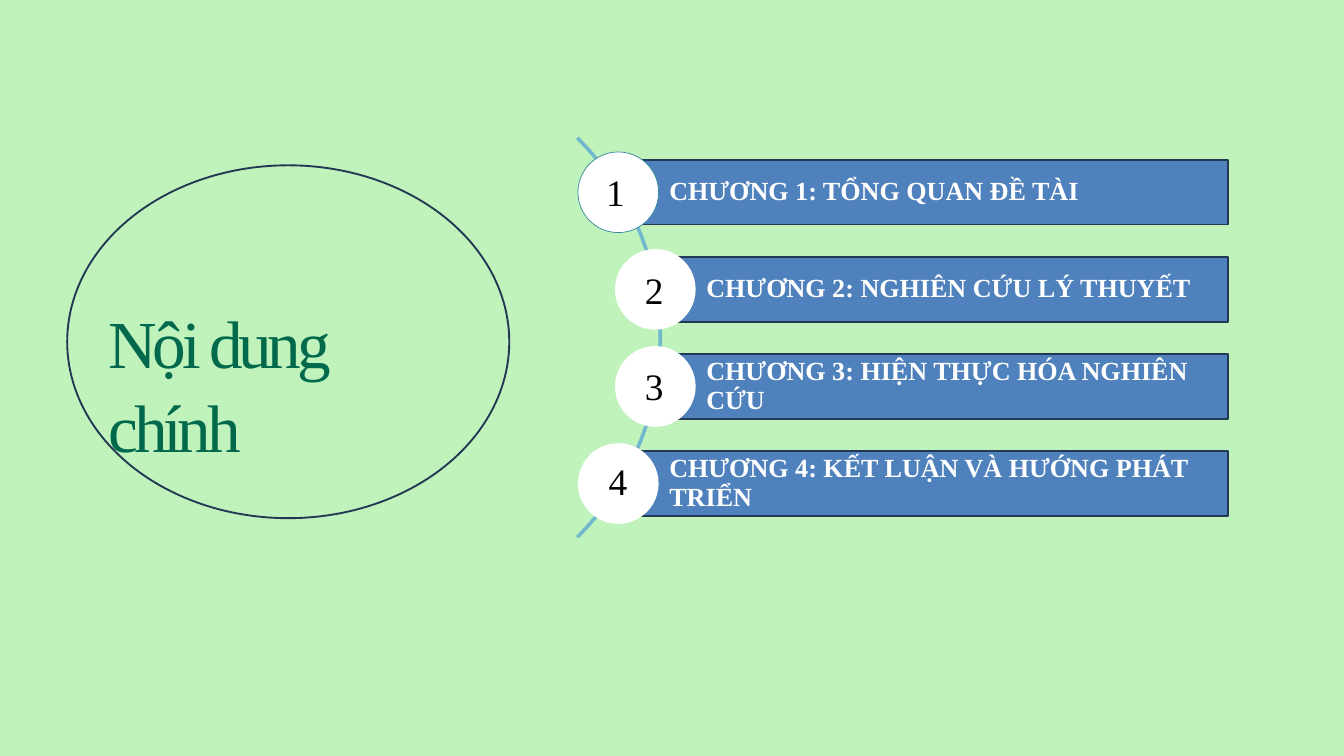
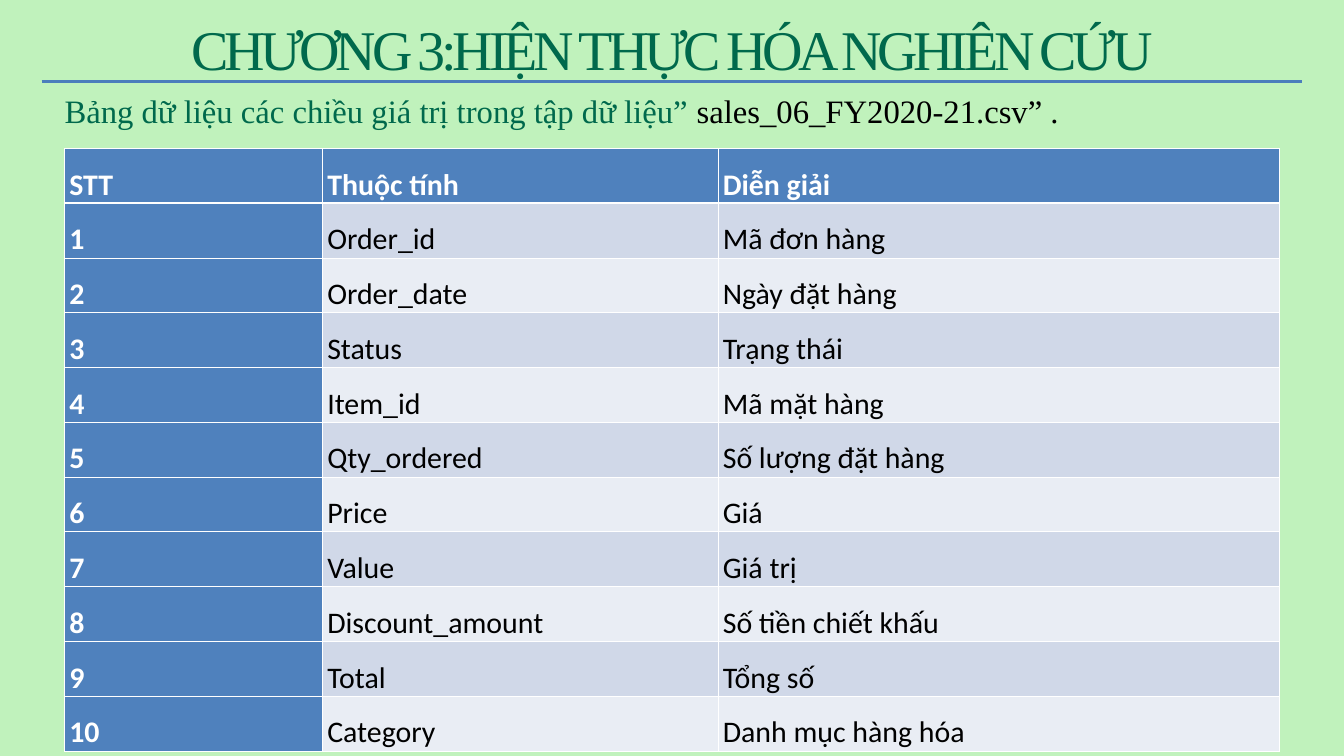
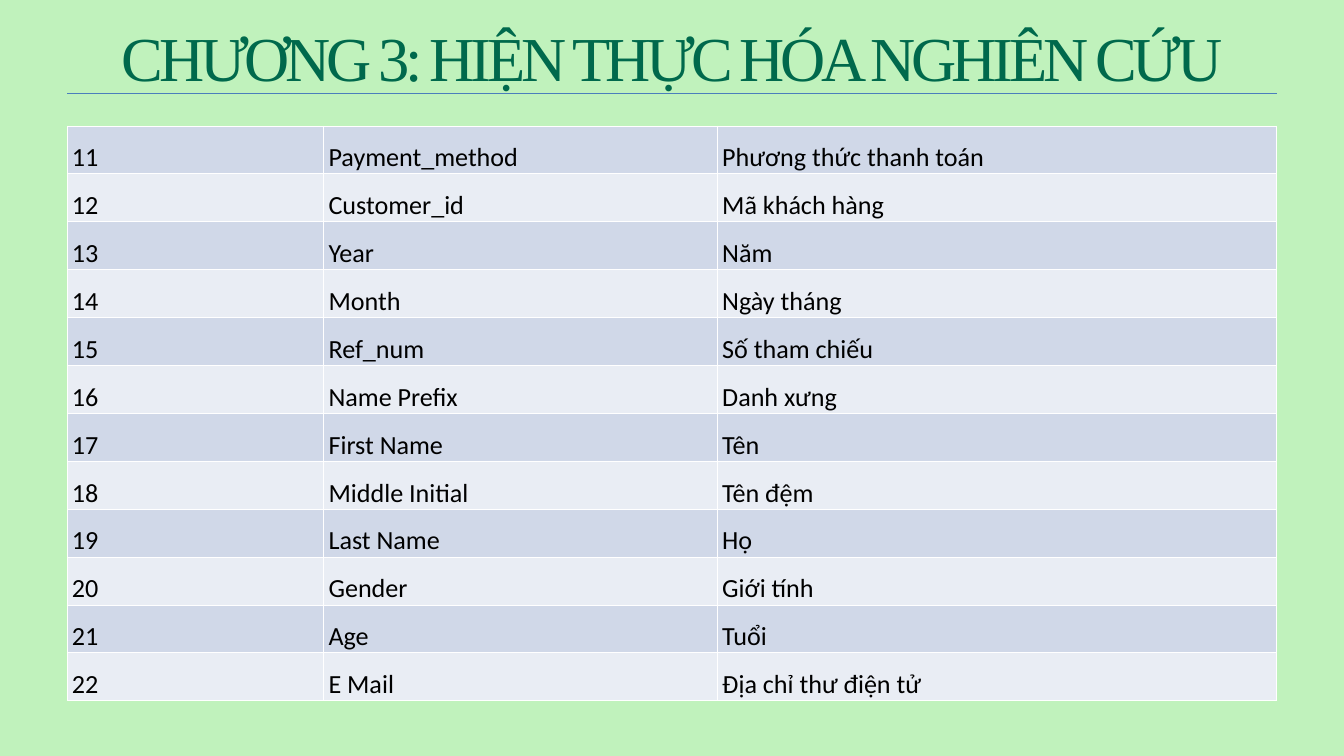
from dataclasses import dataclass
from typing import Any, Optional

from lxml import etree
from pptx import Presentation
from pptx.dml.color import RGBColor
from pptx.enum.shapes import MSO_CONNECTOR, MSO_SHAPE
from pptx.enum.text import MSO_ANCHOR, MSO_AUTO_SIZE, PP_ALIGN
from pptx.oxml.ns import qn
from pptx.util import Cm, Pt

# Enum members
LEFT, CENTER = PP_ALIGN.LEFT, PP_ALIGN.CENTER
TOP, MIDDLE = MSO_ANCHOR.TOP, MSO_ANCHOR.MIDDLE
NO_AUTOFIT = MSO_AUTO_SIZE.NONE
RECT, OVAL, ARC = MSO_SHAPE.RECTANGLE, MSO_SHAPE.OVAL, MSO_SHAPE.BLOCK_ARC
STRAIGHT = MSO_CONNECTOR.STRAIGHT

# Shared look
SERIF, SANS = "Times New Roman", "Calibri"
MINT, GREEN, BLUE, RULE_BLUE = "C0F2BC", "00694C", "4F81BD", "4B7EBC"
NAVY, ARC_BLUE, TEAL = "233953", "71B7CD", "31859C"
BAND_DARK, BAND_LIGHT = "D0D8E8", "E9EDF4"
WHITE, BLACK = "FFFFFF", "000000"
SLIDE_W, SLIDE_H = 50.8, 28.58
TITLE_SPACING = "-460"


@dataclass
class Chapter:
    text: str
    bar_left: float
    number_left: float
    number_top: float
    ring: Optional[str] = None


@dataclass
class TableSpec:
    left: float
    top: float
    col_widths: tuple[float, ...]
    row_height: float
    size: float
    rows: list[tuple[str, ...]]
    header: bool = False


# Contents
CHAPTERS = [
    Chapter("CHƯƠNG 1: TỔNG QUAN ĐỀ TÀI", 23.37, 22.66, 6.25, TEAL),
    Chapter("CHƯƠNG 2: NGHIÊN CỨU LÝ THUYẾT", 24.77, 24.13, 9.98),
    Chapter("CHƯƠNG 3: HIỆN THỰC HÓA NGHIÊN CỨU", 24.77, 24.13, 13.59),
    Chapter("CHƯƠNG 4: KẾT LUẬN VÀ HƯỚNG PHÁT TRIỂN", 23.37, 22.76, 17.2),
]

FIRST_FIELDS = TableSpec(2.44, 5.61, (9.75, 14.95, 21.22), 1.96, 32, [
    ("STT", "Thuộc tính", "Diễn giải"),
    ("1", "Order_id", "Mã đơn hàng"),
    ("2", "Order_date", "Ngày đặt hàng"),
    ("3", "Status", "Trạng thái"),
    ("4", "Item_id", "Mã mặt hàng"),
    ("5", "Qty_ordered", "Số lượng đặt hàng"),
    ("6", "Price", "Giá"),
    ("7", "Value", "Giá trị"),
    ("8", "Discount_amount", "Số tiền chiết khấu"),
    ("9", "Total", "Tổng số"),
    ("10", "Category", "Danh mục hàng hóa"),
], header=True)

MORE_FIELDS = TableSpec(2.54, 4.76, (9.7, 14.88, 21.14), 1.78, 28, [
    ("11", "Payment_method", "Phương thức thanh toán"),
    ("12", "Customer_id", "Mã khách hàng"),
    ("13", "Year", "Năm"),
    ("14", "Month", "Ngày tháng"),
    ("15", "Ref_num", "Số tham chiếu"),
    ("16", "Name Prefix", "Danh xưng"),
    ("17", "First Name", "Tên"),
    ("18", "Middle Initial", "Tên đệm"),
    ("19", "Last Name", "Họ"),
    ("20", "Gender", "Giới tính"),
    ("21", "Age", "Tuổi"),
    ("22", "E Mail", "Địa chỉ thư điện tử"),
])


# Helpers
def rgb(color: str) -> RGBColor:
    return RGBColor.from_string(color)


def set_font(font: Any, size: float, color: Optional[str] = None,
             bold: bool = False, name: str = SERIF) -> None:
    font.name, font.size, font.bold = name, Pt(size), bold
    if color:
        font.color.rgb = rgb(color)


def set_frame(tf: Any, anchor: Any, left: float, top: float,
              right: float, bottom: float) -> None:
    tf.word_wrap, tf.auto_size, tf.vertical_anchor = True, NO_AUTOFIT, anchor
    tf.margin_left, tf.margin_top = Cm(left), Cm(top)
    tf.margin_right, tf.margin_bottom = Cm(right), Cm(bottom)


def add_slide(prs: Any, title: str, left: float, top: float, width: float,
              height: float, size: float, align: Any,
              spacing: Optional[float] = None) -> Any:
    """Add a title-only slide and format its title."""
    slide = prs.slides.add_slide(prs.slide_layouts[5])
    sp = slide.shapes.title
    sp.left, sp.top, sp.width, sp.height = Cm(left), Cm(top), Cm(width), Cm(height)
    set_frame(sp.text_frame, TOP, 0, 0, 0, 0)
    p = sp.text_frame.paragraphs[0]
    p.alignment = align
    if spacing:
        p.line_spacing = Pt(spacing)
    set_font(p.font, size, GREEN)
    r = p.add_run()
    r.text = title
    r._r.get_or_add_rPr().set("spc", TITLE_SPACING)
    return slide


def add_outline(slide: Any, kind: Any, left: float, top: float, width: float,
                height: float, fill: Optional[str], line: Optional[str],
                weight: float = 2) -> Any:
    sp = slide.shapes.add_shape(kind, Cm(left), Cm(top), Cm(width), Cm(height))
    sp.shadow.inherit = False
    if fill:
        sp.fill.solid()
        sp.fill.fore_color.rgb = rgb(fill)
    else:
        sp.fill.background()
    if line:
        sp.line.color.rgb = rgb(line)
        sp.line.width = Pt(weight)
    else:
        sp.line.fill.background()
    return sp


def add_rule(slide: Any, margin: float, y: float, weight: float) -> None:
    line = slide.shapes.add_connector(
        STRAIGHT, Cm(margin), Cm(y), Cm(SLIDE_W - margin), Cm(y))
    line.line.color.rgb = rgb(RULE_BLUE)
    line.line.width = Pt(weight)
    etree.SubElement(line._element.spPr, qn("a:effectLst"))


def add_border(cell: Any, side: str, weight: float) -> None:
    ln = etree.SubElement(cell._tc.get_or_add_tcPr(), qn(f"a:ln{side}"),
                          w=str(Pt(weight)))
    fill = etree.SubElement(ln, qn("a:solidFill"))
    etree.SubElement(fill, qn("a:srgbClr"), val=WHITE)


def add_field_table(slide: Any, spec: TableSpec) -> None:
    n_rows, n_cols = len(spec.rows), len(spec.col_widths)
    table = slide.shapes.add_table(
        n_rows, n_cols, Cm(spec.left), Cm(spec.top),
        Cm(sum(spec.col_widths)), Cm(spec.row_height * n_rows)).table
    table.first_row = table.first_col = spec.header
    for column, width in zip(table.columns, spec.col_widths):
        column.width = Cm(width)
    for i, values in enumerate(spec.rows):
        table.rows[i].height = Cm(spec.row_height)
        band = BAND_DARK if i % 2 == int(spec.header) else BAND_LIGHT
        for j, value in enumerate(values):
            cell = table.cell(i, j)
            heading = spec.header and (i == 0 or j == 0)
            cell.margin_left = cell.margin_right = Cm(0.18)
            cell.margin_top = cell.margin_bottom = 0
            for side in "LRTB":
                under_header = spec.header and (i, side) in ((0, "B"), (1, "T"))
                add_border(cell, side, 3 if under_header else 1)
            cell.fill.solid()
            cell.fill.fore_color.rgb = rgb(BLUE if heading else band)
            p = cell.text_frame.paragraphs[0]
            p.text, p.line_spacing = value, 1.5
            set_font(p.font, spec.size, WHITE if heading else BLACK, heading, SANS)


def add_chapter(slide: Any, number: int, chapter: Chapter) -> None:
    """Draw one agenda bar with its numbered circle."""
    bar_right, bar_height, diameter = 46.43, 2.44, 3.05
    top = 6.05 + 3.67 * (number - 1)
    bar = add_outline(slide, RECT, chapter.bar_left, top,
                      bar_right - chapter.bar_left, bar_height, BLUE, NAVY)
    set_frame(bar.text_frame, MIDDLE, 1.93, 0.2, 0.2, 0.2)
    p = bar.text_frame.paragraphs[0]
    p.text, p.alignment, p.line_spacing = chapter.text, LEFT, 0.9
    set_font(p.font, 28, WHITE, bold=True)

    add_outline(slide, OVAL, chapter.bar_left - diameter / 2,
                top + (bar_height - diameter) / 2, diameter, diameter,
                WHITE, chapter.ring, 0.75)
    box = slide.shapes.add_textbox(Cm(chapter.number_left), Cm(chapter.number_top),
                                   Cm(1.07), Cm(1.96))
    set_frame(box.text_frame, TOP, 0.25, 0.13, 0.25, 0.13)
    p = box.text_frame.paragraphs[0]
    p.text = str(number)
    set_font(p.font, 40, BLACK)


# Slides
def build_agenda(prs: Any) -> None:
    slide = add_slide(prs, "Nội dung chính", 4.11, 11.25, 13.4, 3, 72, LEFT, 90.4)
    add_outline(slide, OVAL, 2.54, 6.25, 16.71, 13.34, None, NAVY)
    arc = add_outline(slide, ARC, 3.63, 2.08, 21.36, 21.36, None, ARC_BLUE)
    for i, value in enumerate((189, 27, 0.003)):
        arc.adjustments[i] = value
    for number, chapter in enumerate(CHAPTERS, 1):
        add_chapter(slide, number, chapter)


def build_first_fields(prs: Any) -> None:
    slide = add_slide(prs, "CHƯƠNG 3:HIỆN THỰC HÓA NGHIÊN CỨU",
                      0, 0.53, SLIDE_W, 5.16, 60, CENTER, 72)
    box = slide.shapes.add_textbox(Cm(2.44), Cm(3.84), Cm(45.92), Cm(1.12))
    set_frame(box.text_frame, TOP, 0, 0, 0, 0)
    p = box.text_frame.paragraphs[0]
    p.line_spacing = Pt(30.8)
    set_font(p.font, 35)
    for text, color in (("Bảng dữ liệu các chiều giá trị trong tập dữ liệu” ", GREEN),
                        ("sales_06_FY2020-21.csv” .", BLACK)):
        r = p.add_run()
        r.text = text
        r.font.color.rgb = rgb(color)
    add_rule(slide, 1.57, 3.07, 3)
    add_field_table(slide, FIRST_FIELDS)


def build_more_fields(prs: Any) -> None:
    slide = add_slide(prs, "CHƯƠNG 3: HIỆN THỰC HÓA NGHIÊN CỨU",
                      0, 0.73, SLIDE_W, 2.75, 67, CENTER)
    add_rule(slide, 2.54, 3.51, 0.75)
    add_field_table(slide, MORE_FIELDS)


def main() -> None:
    prs = Presentation()
    prs.slide_width, prs.slide_height = Cm(SLIDE_W), Cm(SLIDE_H)
    background = prs.slide_master.background.fill
    background.solid()
    background.fore_color.rgb = rgb(MINT)
    build_agenda(prs)
    build_first_fields(prs)
    build_more_fields(prs)
    prs.save("out.pptx")


if __name__ == "__main__":
    main()
